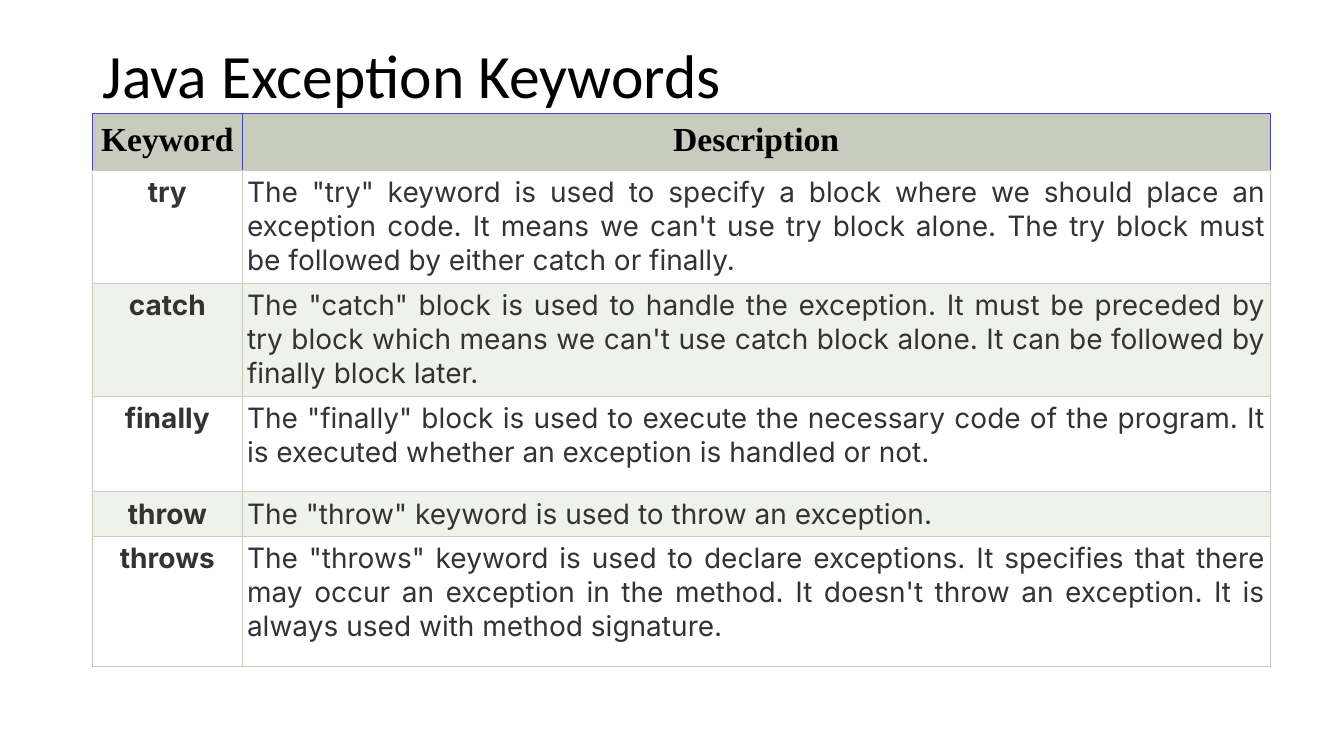
"""Build the Java exception keywords slide."""
from lxml import etree
from pptx import Presentation
from pptx import util as u
from pptx.dml.color import RGBColor
from pptx.enum import text
from pptx.oxml.ns import qn

TITLE = "Java Exception Keywords"
HEADER = ("Keyword", "Description")
KEYWORDS = [
    ("try", 'The "try" keyword is used to specify a block where we should place an exception code. '
            "It means we can't use try block alone. The try block must be followed by either catch or finally."),
    ("catch", 'The "catch" block is used to handle the exception. It must be preceded by try block which means '
              "we can't use catch block alone. It can be followed by finally block later."),
    ("finally", 'The "finally" block is used to execute the necessary code of the program. '
                "It is executed whether an exception is handled or not."),
    ("throw", 'The "throw" keyword is used to throw an exception.'),
    ("throws", 'The "throws" keyword is used to declare exceptions. It specifies that there may occur an exception '
               "in the method. It doesn't throw an exception. It is always used with method signature."),
]
COLORS = {"title": "000000", "body": "333333", "header": "C7CCBE", "edge": "4845C0",
          "plain": "FFFFFF", "band": "EFF1EB"}
WIDTH, HEIGHT = 13.33, 7.5
LEFT = 0.92
COLUMNS = (1.48, 10.2)
ROWS = (0.52, 1.12, 1.12, 0.95, 0.44, 1.29)


def add_text(frame, words, font, size, color, align, bold=False):
    paragraph = frame.paragraphs[0]
    paragraph.alignment = align
    run = paragraph.add_run()
    run.text = words
    run.font.name, run.font.size, run.font.bold = font, u.Pt(size), bold
    run.font.color.rgb = RGBColor.from_string(COLORS[color])
    return paragraph


def set_borders(cell, colors):
    properties = cell._tc.get_or_add_tcPr()
    for position, (side, color) in enumerate(zip("LRTB", colors)):
        line = etree.Element(qn(f"a:ln{side}"), w=str(u.Pt(0.75)))
        fill = etree.SubElement(line, qn("a:solidFill"))
        etree.SubElement(fill, qn("a:srgbClr"), val=COLORS[color])
        properties.insert(position, line)


def fill_cell(cell, words, row, column):
    is_header = row == 0
    margin = u.Inches(0.08 if is_header else 0.05)
    cell.margin_left = cell.margin_right = cell.margin_top = cell.margin_bottom = margin
    background = "header" if is_header else "plain" if row % 2 else "band"
    cell.fill.solid()
    cell.fill.fore_color.rgb = RGBColor.from_string(COLORS[background])
    edge = "edge" if is_header else "header"
    set_borders(cell, (edge, edge, edge, "header"))
    font, size, color = ("Times New Roman", 24, "title") if is_header else ("Inter", 20, "body")
    centered = is_header or column == 0
    align = text.PP_ALIGN.CENTER if centered else text.PP_ALIGN.JUSTIFY
    add_text(cell.text_frame, words, font, size, color, align, centered)


def main():
    presentation = Presentation()
    presentation.slide_width, presentation.slide_height = u.Inches(WIDTH), u.Inches(HEIGHT)
    slide = presentation.slides.add_slide(presentation.slide_layouts[6])

    title = slide.shapes.add_textbox(u.Inches(LEFT), u.Inches(0.4), u.Inches(11.5), u.Inches(1.45))
    title.text_frame.word_wrap = True
    paragraph = add_text(title.text_frame, TITLE, "Calibri", 44, "title", text.PP_ALIGN.LEFT)
    paragraph.line_spacing = 0.9

    frame = slide.shapes.add_table(len(ROWS), len(COLUMNS), u.Inches(LEFT), u.Inches(1.13),
                                   u.Inches(sum(COLUMNS)), u.Inches(sum(ROWS)))
    table = frame.table
    for column, width in zip(table.columns, COLUMNS):
        column.width = u.Inches(width)
    for row, height in zip(table.rows, ROWS):
        row.height = u.Inches(height)
    for row, entries in enumerate([HEADER, *KEYWORDS]):
        for column, words in enumerate(entries):
            fill_cell(table.cell(row, column), words, row, column)

    presentation.save("out.pptx")


if __name__ == "__main__":
    main()
